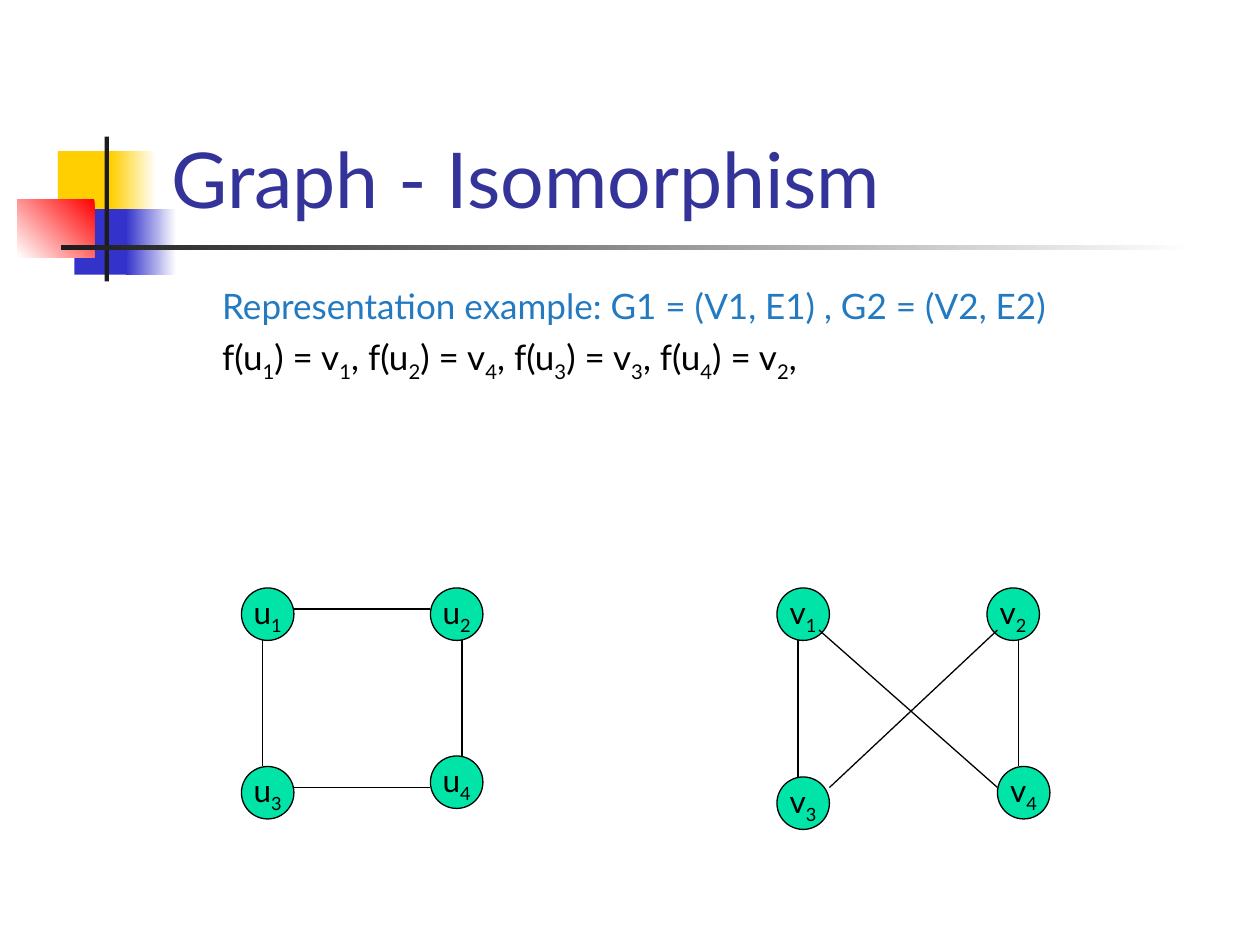
"""Build the graph isomorphism slide."""
import pptx
import pptx.dml.color
import pptx.enum.shapes
import pptx.enum.text
import pptx.oxml
import pptx.util

Pt = pptx.util.Pt
SHAPE = pptx.enum.shapes.MSO_SHAPE
ALIGN = pptx.enum.text.PP_ALIGN
ANCHOR = pptx.enum.text.MSO_ANCHOR
FONT = "Lato"
BLACK = "000000"
NODE_SIZE = 30

TITLE = ("Graph - Isomorphism", "333399", (90.7, 16.6, 613.4, 115.2))
BODY_BOX = (92.9, 159.1, 612, 81.4)
BODY = [
    ("Representation example: G1 = (V1, E1) , G2 = (V2, E2)", "237AC1"),
    ("f(u_1) = v_1, f(u_2) = v_4, f(u_3) = v_3, f(u_4) = v_2,", BLACK),
]
DECOR = [
    ((33.1, 86.4, 34.6, 37.4), ["FFCF01"], 0),
    ((63.4, 86.4, 25.9, 37.4), ["FFFFFF", "FFCF01"], 180),
    ((42.5, 119.5, 33.1, 37.4), ["3333CC"], 0),
    ((72, 119.5, 28.8, 37.4), ["FFFFFF", "3333CC"], 180),
    ((10, 113.8, 44, 33.1), ["FF0000", "FFFFFF"], 225),
    ((59.8, 78, 2.5, 82.8), ["1C1C1C"], 0),
    ((34.8, 140.2, 648, 2.5), ["FFFFFF", "1C1C1C"], 180),
]
NODES = {
    "u_1": (138, 336), "u_3": (138, 438), "u_4": (246, 432), "u_2": (246, 336),
    "v_3": (444, 444), "v_4": (570, 438), "v_1": (444, 336), "v_2": (564, 336),
}
EDGES = [
    (168, 348, 246, 348), (168, 450, 246, 450),
    (150, 366, 150, 438), (264, 366, 264, 432),
    (456, 366, 456, 444), (582, 366, 582, 438),
    (468, 360, 570, 450), (570, 360, 474, 450),
]


def rgb(value):
    return pptx.dml.color.RGBColor.from_string(value)


def write(p, text, size, color):
    """Fill a paragraph, lowering each digit that follows an underscore."""
    head, *rest = text.split("_")
    pieces = [(head, False)]
    for part in rest:
        pieces += [(part[0], True), (part[1:], False)]
    for piece, lowered in pieces:
        if piece:
            r = p.add_run()
            r.text = piece
            r.font.name, r.font.size = FONT, Pt(size)
            r.font.color.rgb = rgb(color)
            if lowered:
                r._r.get_or_add_rPr().set("baseline", "-25000")


def add_shape(s, kind, box, colors, angle=0):
    sp = s.shapes.add_shape(kind, *map(Pt, box))
    sp.shadow.inherit = False
    if len(colors) == 1:
        sp.fill.solid()
        sp.fill.fore_color.rgb = rgb(colors[0])
    else:
        sp.fill.gradient()
        sp.fill.gradient_angle = angle
        for stop, color in zip(sp.fill.gradient_stops, colors):
            stop.color.rgb = rgb(color)
    sp.line.fill.background()
    return sp


def add_title(s):
    text, color, box = TITLE
    sp = s.shapes.title
    sp.left, sp.top, sp.width, sp.height = map(Pt, box)
    tf = sp.text_frame
    tf.vertical_anchor = ANCHOR.BOTTOM
    tf.auto_size = pptx.enum.text.MSO_AUTO_SIZE.NONE
    p = tf.paragraphs[0]
    p.alignment = ALIGN.LEFT
    write(p, text, 44, color)


def add_body(s):
    tf = s.shapes.add_textbox(*map(Pt, BODY_BOX)).text_frame
    tf.word_wrap = True
    for i, (text, color) in enumerate(BODY):
        p = tf.add_paragraph() if i else tf.paragraphs[0]
        p.alignment = ALIGN.JUSTIFY
        p.space_before = Pt(5 if i else 0)
        p._p.get_or_add_pPr().set("marL", str(Pt(27)))
        write(p, text, 20, color)


def add_node(s, label, left, top):
    sp = add_shape(s, SHAPE.OVAL, (left, top, NODE_SIZE, NODE_SIZE), ["00E4A8"])
    sp.line.color.rgb = rgb(BLACK)
    sp.line.width = Pt(0.75)
    tf = sp.text_frame
    tf.word_wrap = False
    tf.vertical_anchor = ANCHOR.MIDDLE
    p = tf.paragraphs[0]
    p.alignment = ALIGN.CENTER
    write(p, label, 18, BLACK)


def add_edge(s, ends):
    line = s.shapes.add_connector(
        pptx.enum.shapes.MSO_CONNECTOR.STRAIGHT, *map(Pt, ends))
    line.line.color.rgb = rgb(BLACK)
    line.line.width = Pt(0.75)
    line._element.spPr.append(pptx.oxml.parse_xml(
        '<a:effectLst xmlns:a='
        '"http://schemas.openxmlformats.org/drawingml/2006/main"/>'))


def main():
    prs = pptx.Presentation()
    prs.slide_width, prs.slide_height = Pt(720), Pt(540)
    s = prs.slides.add_slide(prs.slide_layouts[5])
    for box, colors, angle in DECOR:
        add_shape(s, SHAPE.RECTANGLE, box, colors, angle)
    add_title(s)
    add_body(s)
    for label, (left, top) in NODES.items():
        add_node(s, label, left, top)
    for ends in EDGES:
        add_edge(s, ends)
    prs.save("out.pptx")


if __name__ == "__main__":
    main()
